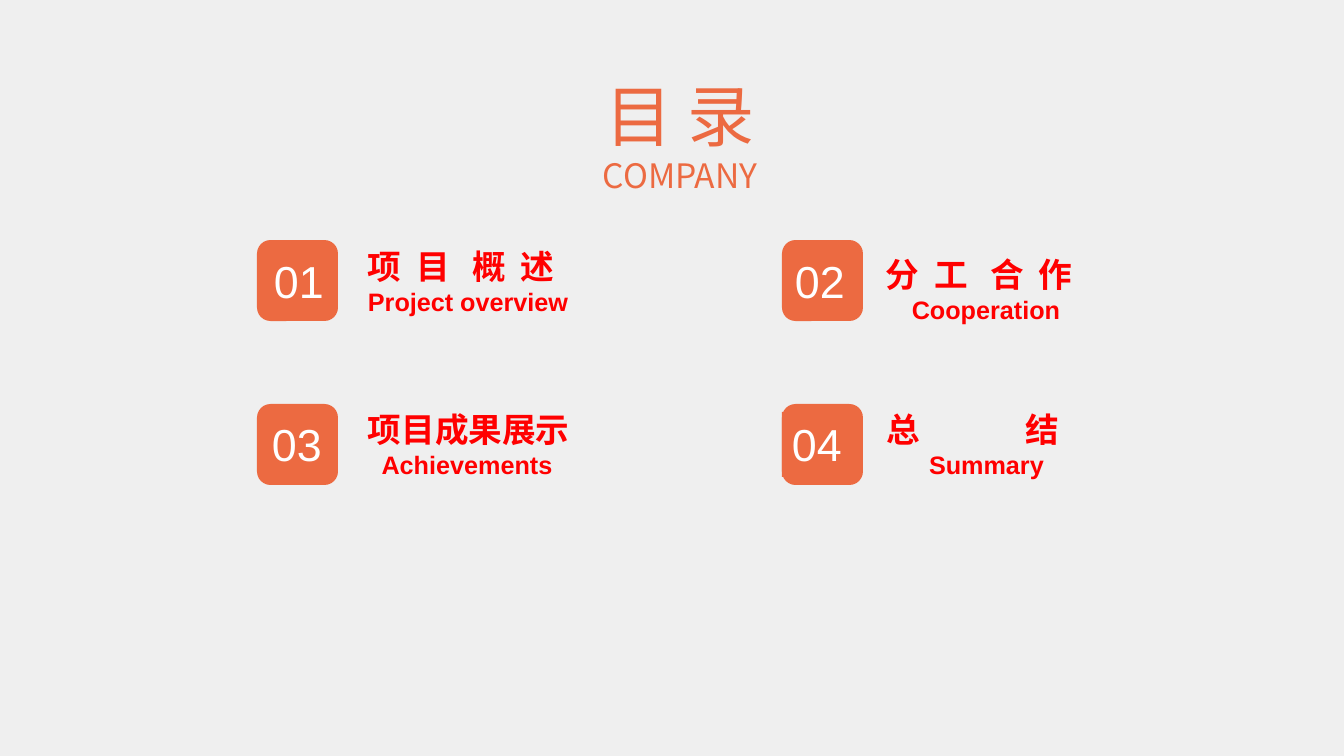
from pptx import Presentation
from pptx import util as u
from pptx.dml.color import RGBColor
from pptx.enum import shapes, text
from pptx.oxml.ns import qn
from lxml import etree

PX = 914400 / 100.8
ORANGE = RGBColor(0xEC, 0x6A, 0x41)
RED = RGBColor(0xFF, 0x00, 0x00)
WHITE = RGBColor(0xFF, 0xFF, 0xFF)
BACKGROUND = RGBColor(0xEF, 0xEF, 0xEF)
CJK_FONT = "Noto Sans CJK SC"
LEFT, CENTER = text.PP_ALIGN.LEFT, text.PP_ALIGN.CENTER
BADGE = 81
FOUR_TABS = (49, 105, 153)

# badge corner, number, number corner, number fill,
# caption box (left, top, width), heading, tab stops, subtitle, its alignment
ENTRIES = [
    ((257, 240), "01", (264, 249), None,
     (358, 241, 226), "项\t目\t概\t述", FOUR_TABS, "Project overview", LEFT),
    ((257, 404), "03", (262, 412), None,
     (358, 404, 225), "项目成果展示", (), "Achievements ", CENTER),
    ((782, 240), "02", (785, 249), None,
     (876, 249, 220), "分\t工\t合\t作", FOUR_TABS, "Cooperation", CENTER),
    ((782, 404), "04", (782, 412), ORANGE,
     (877, 404, 219), "总\t结", (139,), "Summary", CENTER),
]


def px(*lengths):
    return [u.Emu(round(length * PX)) for length in lengths]


def add_text_box(slide, box, wrap=True, fill=None):
    """Add an empty self-sizing text box and return its text frame."""
    holder = slide.shapes.add_textbox(*px(*box))
    if fill is not None:
        holder.fill.solid()
        holder.fill.fore_color.rgb = fill
    frame = holder.text_frame
    frame.word_wrap = wrap
    frame.auto_size = text.MSO_AUTO_SIZE.SHAPE_TO_FIT_TEXT
    return frame


def write(paragraph, words, *, size, color, font="Arial", bold=False,
          align=LEFT, tabs=()):
    paragraph.alignment = align
    run = paragraph.add_run()
    run.text = words
    run.font.size = u.Pt(size)
    run.font.name = font
    run.font.bold = bold
    run.font.color.rgb = color
    east_asian = etree.SubElement(run.font._element, qn("a:ea"))
    east_asian.set("typeface", CJK_FONT)
    if tabs:
        stops = etree.SubElement(paragraph._p.get_or_add_pPr(), qn("a:tabLst"))
        for position in px(*tabs):
            etree.SubElement(stops, qn("a:tab"), pos=str(position), algn="l")


def add_badge(slide, corner, number, number_corner, number_fill):
    badge = slide.shapes.add_shape(
        shapes.MSO_SHAPE.ROUNDED_RECTANGLE, *px(*corner, BADGE, BADGE))
    badge.shadow.inherit = False
    badge.fill.solid()
    badge.fill.fore_color.rgb = ORANGE
    badge.line.fill.background()
    frame = add_text_box(slide, (*number_corner, 71, 65), False, number_fill)
    write(frame.paragraphs[0], number, size=32, color=WHITE)


def add_caption(slide, box, heading, tabs, subtitle, align):
    frame = add_text_box(slide, (*box, 82))
    write(frame.paragraphs[0], heading, size=24, color=RED, bold=True, tabs=tabs)
    write(frame.add_paragraph(), subtitle, size=18, color=RED, bold=True, align=align)


def add_title(slide):
    frame = add_text_box(slide, (584, 69, 192, 132), wrap=False)
    style = dict(color=ORANGE, font=CJK_FONT, align=CENTER)
    write(frame.paragraphs[0], "目 录", size=48, **style)
    write(frame.add_paragraph(), "COMPANY", size=24, **style)


def main():
    deck = Presentation()
    deck.slide_width, deck.slide_height = px(1344, 756)
    slide = deck.slides.add_slide(deck.slide_layouts[6])
    slide.background.fill.solid()
    slide.background.fill.fore_color.rgb = BACKGROUND
    for corner, number, number_corner, number_fill, *caption in ENTRIES:
        add_badge(slide, corner, number, number_corner, number_fill)
        add_caption(slide, *caption)
    add_title(slide)
    deck.save("out.pptx")


if __name__ == "__main__":
    main()
